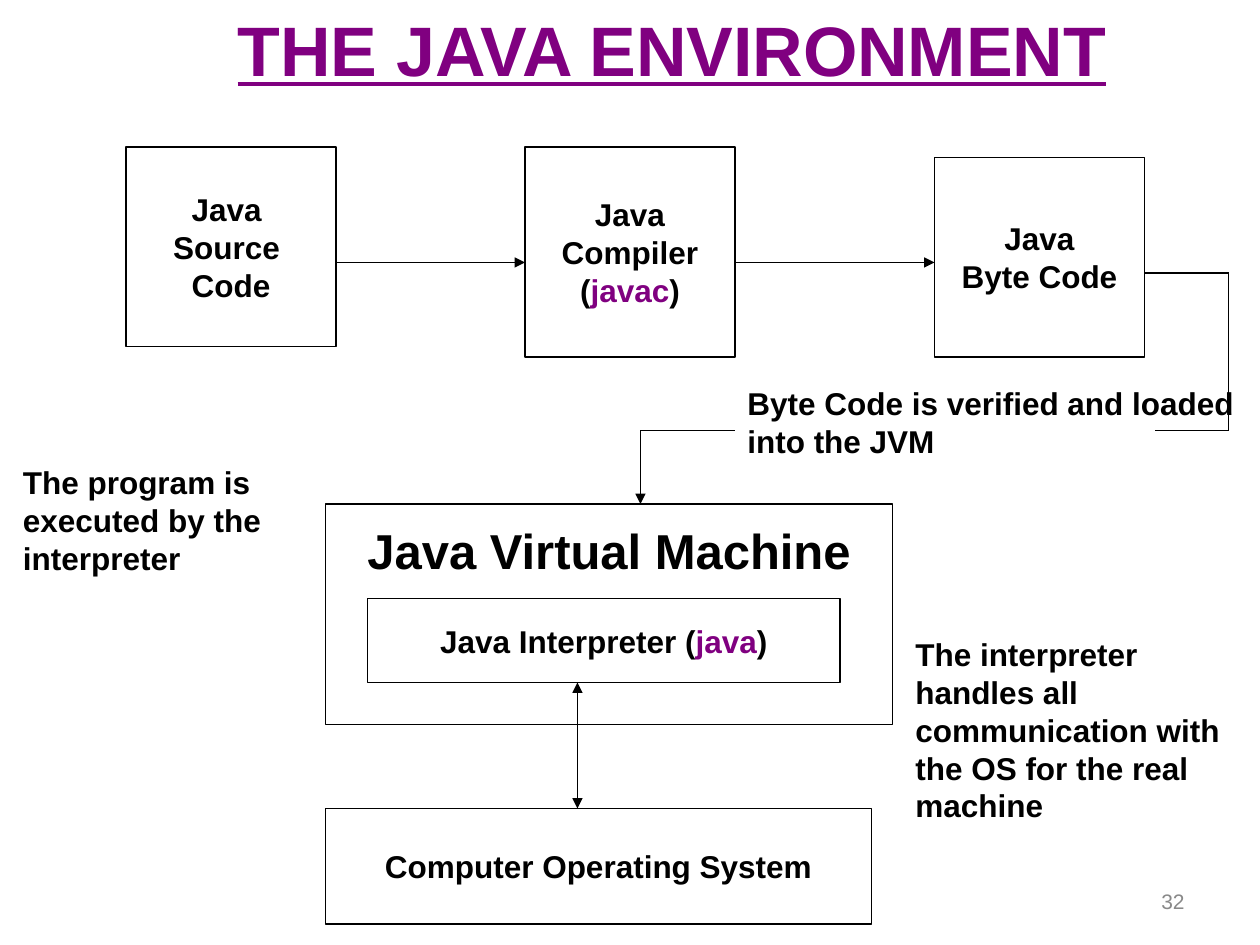
import pptx
import pptx.util
import pptx.dml.color
import pptx.enum.shapes
import pptx.enum.text
import pptx.oxml.ns
import lxml.etree

BLACK = pptx.dml.color.RGBColor(0x00, 0x00, 0x00)
PURPLE = pptx.dml.color.RGBColor(0x80, 0x00, 0x80)
GREY = pptx.dml.color.RGBColor(0x89, 0x89, 0x89)

ALIGN = pptx.enum.text.PP_ALIGN
ANCHOR = pptx.enum.text.MSO_ANCHOR
COLUMNS, ROWS = 120, 90


class Diagram:
    font_name = "Arial"
    line_width = pptx.util.Pt(0.75)

    def __init__(self, presentation):
        self.column = presentation.slide_width / COLUMNS
        self.row = presentation.slide_height / ROWS
        self.slide = presentation.slides.add_slide(presentation.slide_layouts[6])

    def place(self, column, row):
        return round(column * self.column), round(row * self.row)

    def set_text(self, frame, text, size, color, align, keyword="", bold=True, underline=False):
        frame.text = text
        for paragraph in frame.paragraphs:
            paragraph.alignment = align
            if keyword and keyword in paragraph.text:
                before, word, after = paragraph.text.partition(keyword)
                paragraph.text = before
                for part in (word, after):
                    paragraph.add_run().text = part
            for run in paragraph.runs:
                run.font.name = self.font_name
                run.font.size = pptx.util.Pt(size)
                run.font.bold = bold
                run.font.underline = underline
                run.font.color.rgb = PURPLE if run.text == keyword else color

    def box(self, left, top, width, height, text, size=18, keyword="", anchor=ANCHOR.MIDDLE):
        outline = self.slide.shapes.add_shape(
            pptx.enum.shapes.MSO_SHAPE.RECTANGLE,
            *self.place(left, top), *self.place(width, height))
        outline.shadow.inherit = False
        outline.fill.background()
        outline.line.color.rgb = BLACK
        outline.line.width = self.line_width
        frame = outline.text_frame
        frame.word_wrap = False
        frame.vertical_anchor = anchor
        if anchor == ANCHOR.TOP:
            frame.margin_top = pptx.util.Inches(0.13)
        self.set_text(frame, text, size, BLACK, ALIGN.CENTER, keyword)

    def label(self, left, top, width, height, text, size=18, color=BLACK,
              align=ALIGN.LEFT, anchor=ANCHOR.TOP, **style):
        frame = self.slide.shapes.add_textbox(
            *self.place(left, top), *self.place(width, height)).text_frame
        frame.word_wrap = True
        frame.vertical_anchor = anchor
        self.set_text(frame, text, size, color, align, **style)

    def link(self, start, end, heads=()):
        connector = self.slide.shapes.add_connector(
            pptx.enum.shapes.MSO_CONNECTOR.STRAIGHT, *self.place(*start), *self.place(*end))
        connector.line.color.rgb = BLACK
        connector.line.width = self.line_width
        line = connector.line._get_or_add_ln()
        for head in heads:
            lxml.etree.SubElement(line, pptx.oxml.ns.qn(f"a:{head}"), type="triangle")
        lxml.etree.SubElement(connector._element.spPr, pptx.oxml.ns.qn("a:effectLst"))

    def route(self, points, heads=()):
        last = len(points) - 2
        for index, (start, end) in enumerate(zip(points, points[1:])):
            self.link(start, end, heads if index == last else ())


def main():
    presentation = pptx.Presentation()
    presentation.slide_width = pptx.util.Inches(10)
    presentation.slide_height = pptx.util.Inches(7.5)
    diagram = Diagram(presentation)

    diagram.label(86, 83.4, 28, 4.8, "32", 12, GREY, ALIGN.RIGHT, ANCHOR.MIDDLE, bold=False)

    diagram.box(12, 14, 20, 19, "Java \nSource \nCode")
    diagram.box(50, 14, 20, 20, "Java\nCompiler\n(javac)", keyword="javac")
    diagram.box(89, 15, 20, 19, "Java\nByte Code")
    diagram.box(31, 48, 54, 21, "Java Virtual Machine", 28, anchor=ANCHOR.TOP)
    diagram.box(31, 77, 52, 11, "Computer Operating System")
    diagram.box(35, 57, 45, 8, "Java Interpreter (java)", keyword="java")

    diagram.label(70, 36, 50, 8.4, "Byte Code is verified and loaded into the JVM")

    diagram.route([(70, 41), (61, 41), (61, 48)], ["tailEnd"])
    diagram.route([(109, 26), (117, 26), (117, 41), (110, 41)])
    diagram.link((32, 25), (50, 25), ["tailEnd"])
    diagram.link((70, 25), (89, 25), ["tailEnd"])
    diagram.link((55, 65), (55, 77), ["headEnd", "tailEnd"])

    diagram.label(1, 43.5, 28, 12, "The program is executed by the interpreter")
    diagram.label(86, 59.9, 33, 19.2,
                  "The interpreter handles all communication with the OS for the real machine")
    diagram.label(15, 0, 98, 9.2, "THE JAVA ENVIRONMENT", 40, PURPLE, ALIGN.CENTER, underline=True)

    presentation.save("out.pptx")


if __name__ == "__main__":
    main()
